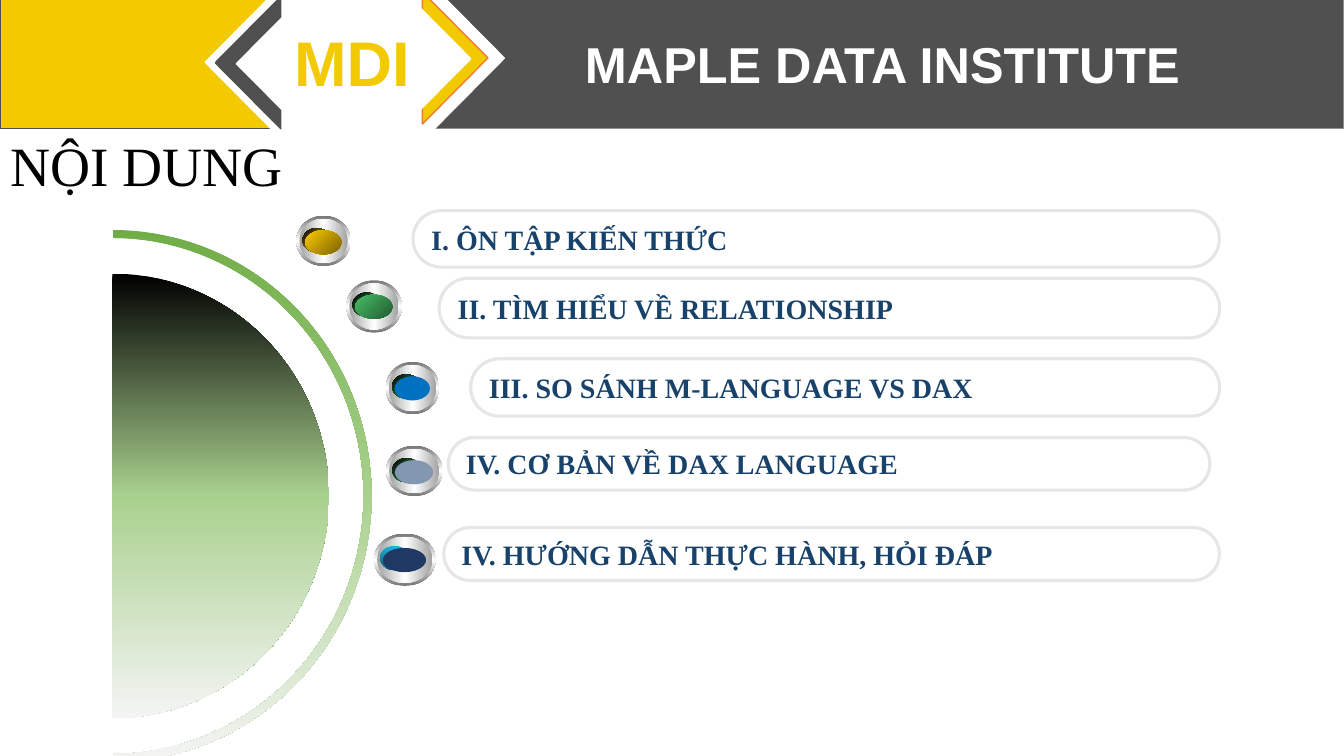
"""Build the contents slide of a data course: banner, half dial and five topics."""
from lxml.etree import SubElement
from pptx import Presentation
from pptx.dml.color import RGBColor
from pptx.enum.shapes import MSO_SHAPE
from pptx.enum.text import MSO_ANCHOR, PP_ALIGN
from pptx.oxml.ns import qn
from pptx.util import Pt

WHITE = RGBColor(0xFF, 0xFF, 0xFF)
BLACK = RGBColor(0, 0, 0)
YELLOW = RGBColor(0xF3, 0xC9, 0x00)
CHARCOAL = RGBColor(0x50, 0x50, 0x50)
GREY = RGBColor(0x91, 0x91, 0x91)
ORANGE = RGBColor(0xED, 0x7D, 0x31)
NAVY = RGBColor(0x19, 0x42, 0x6B)
PALE = RGBColor(0xE7, 0xE6, 0xE6)
LEAF = RGBColor(0x70, 0xAD, 0x47)
LIGHT_LEAF = RGBColor(0xA9, 0xD1, 0x8E)
MIST = RGBColor(0xF4, 0xF4, 0xF4)
STEEL = RGBColor(0x76, 0x76, 0x76)
SILVER = RGBColor(0xA2, 0xA2, 0xA2)
GOLD = RGBColor(0xFF, 0xCC, 0x00)
DARK_GOLD = RGBColor(0x7C, 0x63, 0x00)
GREEN = RGBColor(0x48, 0xBE, 0x67)
DARK_GREEN = RGBColor(0x23, 0x5C, 0x32)
BLUE = RGBColor(0x00, 0x70, 0xC0)
SLATE = RGBColor(0x84, 0x97, 0xB0)
CYAN = RGBColor(0x21, 0xB3, 0xE1)
TEAL = RGBColor(0x0F, 0x53, 0x68)
MIDNIGHT = RGBColor(0x20, 0x38, 0x64)


def paint(shape, colours, angle=90, line=None, width=1):
    """Fill with no colour, one colour or evenly spaced gradient stops."""
    shape.shadow.inherit = False
    if not colours:
        shape.fill.background()
    elif len(colours) == 1:
        shape.fill.solid()
        shape.fill.fore_color.rgb = colours[0]
    else:
        shape.fill.gradient()
        shape.fill.gradient_angle = -angle % 360
        stops = shape.element.spPr.find(qn("a:gradFill")).find(qn("a:gsLst"))
        stops.clear()
        for i, colour in enumerate(colours):
            stop = SubElement(stops, qn("a:gs"), pos=str(i * 100000 // (len(colours) - 1)))
            SubElement(stop, qn("a:srgbClr"), val=str(colour))
    if line is None:
        shape.line.fill.background()
    else:
        shape.line.color.rgb = line
        shape.line.width = Pt(width)


def write(shape, text, size, font, colour, bold=True, align=PP_ALIGN.LEFT):
    """Put one vertically centred line of text into a shape."""
    frame = shape.text_frame
    frame.word_wrap = True
    frame.vertical_anchor = MSO_ANCHOR.MIDDLE
    paragraph = frame.paragraphs[0]
    paragraph.alignment = align
    run = paragraph.add_run()
    run.text = text
    run.font.size = Pt(size)
    run.font.name = font
    run.font.bold = bold
    run.font.color.rgb = colour


deck = Presentation()
deck.slide_width, deck.slide_height = Pt(960), Pt(540)
shapes = deck.slides.add_slide(deck.slide_layouts[6]).shapes

BAR, ARROW = MSO_SHAPE.RECTANGLE, MSO_SHAPE.ISOSCELES_TRIANGLE
banner_parts = [
    (BAR, 301, -1, 659, 92.6, 0, CHARCOAL, GREY),
    (ARROW, 236.4, 0.5, 165.6, 82.1, 90, WHITE, WHITE),
    (BAR, 0, -1, 199.4, 92.6, 0, YELLOW, CHARCOAL),
    (ARROW, 104.9, 3.4, 165.6, 82.1, 270, WHITE, WHITE),
    (ARROW, 130, 21.4, 94.3, 46.8, 270, CHARCOAL, CHARCOAL),
    (ARROW, 145.1, 22.1, 94.3, 46.8, 270, WHITE, WHITE),
    (ARROW, 278, 18, 94.3, 46.8, 90, YELLOW, ORANGE),
    (ARROW, 265.7, 18.6, 94.3, 46.8, 90, WHITE, WHITE),
]
for kind, left, top, width, height, turn, colour, edge in banner_parts:
    part = shapes.add_shape(kind, Pt(left), Pt(top), Pt(width), Pt(height))
    part.rotation = turn
    paint(part, [colour], line=edge)
    if edge == GREY:
        write(part, "MAPLE DATA INSTITUTE", 36, "Arial", WHITE, align=PP_ALIGN.CENTER)

initials = shapes.add_textbox(Pt(200.6), Pt(13), Pt(101.5), Pt(61.9))
write(initials, "MDI", 45, "Arial", YELLOW, align=PP_ALIGN.CENTER)
heading = shapes.add_textbox(Pt(0.3), Pt(98.6), Pt(581.8), Pt(43.9))
write(heading, "NỘI DUNG", 39.6, "Times New Roman", BLACK, bold=False)
heading.text_frame.paragraphs[0].line_spacing = 0.9

DIAL_X, DIAL_Y = 80.4, 354.3
RIGHT_HALF = [162, 54]
dial_parts = [
    (MSO_SHAPE.BLOCK_ARC, 185, 190, RIGHT_HALF + [0.0155], LEAF),
    (MSO_SHAPE.CHORD, 154.6, 158.8, RIGHT_HALF, BLACK),
]
for kind, radius_x, radius_y, limits, first_colour in dial_parts:
    dial = shapes.add_shape(kind, Pt(DIAL_X - radius_x), Pt(DIAL_Y - radius_y),
                            Pt(2 * radius_x), Pt(2 * radius_y))
    for i, limit in enumerate(limits):
        dial.adjustments[i] = limit
    paint(dial, [first_colour, LIGHT_LEAF, MIST])

topics = [
    ("I. ÔN TẬP KIẾN THỨC", (295, 150.5, 576, 40.3),
     (211.7, 154.1, 38.9, 36), [BLACK, GOLD], [GOLD, DARK_GOLD]),
    ("II. TÌM HIỂU VỀ RELATIONSHIP", (313.6, 198.7, 557.6, 42.6),
     (247.4, 200.2, 39.6, 37.4), [BLACK, GREEN], [GREEN, DARK_GREEN]),
    ("III. SO SÁNH M-LANGUAGE VS DAX", (336.2, 256.3, 535, 41),
     (275.6, 258.5, 38.2, 37.4), [BLACK, GREEN], [BLUE]),
    ("IV. CƠ BẢN VỀ DAX LANGUAGE", (320.2, 312.5, 544, 37.6),
     (275.8, 318.4, 40.3, 36), [BLACK, GREEN], [SLATE]),
    ("IV. HƯỚNG DẪN THỰC HÀNH, HỎI ĐÁP", (317, 376.8, 554, 37.8),
     (267.2, 381.1, 43.9, 37.4), [CYAN, TEAL], [MIDNIGHT]),
]
for topic, pill_box, (x, y, w, h), shade, face in topics:
    pill = shapes.add_shape(MSO_SHAPE.ROUNDED_RECTANGLE, *map(Pt, pill_box))
    pill.adjustments[0] = 0.5
    paint(pill, [], line=PALE, width=2.25)
    write(pill, topic, 20, "Times New Roman", NAVY)
    button_layers = [
        ((x, y, w, h), [STEEL, WHITE, STEEL], 90),
        ((x + 2.2, y + 2.2, w - 4.4, h - 4.4), [SILVER, WHITE, SILVER], 0),
        ((x + 4.4, y + 8.8, 20.2, 17.3), shade, 90 if CYAN in shade else 45),
        ((x + 6.3, y + 10.3, w - 13, 17.3), face, 45),
    ]
    for box, colours, angle in button_layers:
        paint(shapes.add_shape(MSO_SHAPE.OVAL, *map(Pt, box)), colours, angle)

deck.save("out.pptx")
